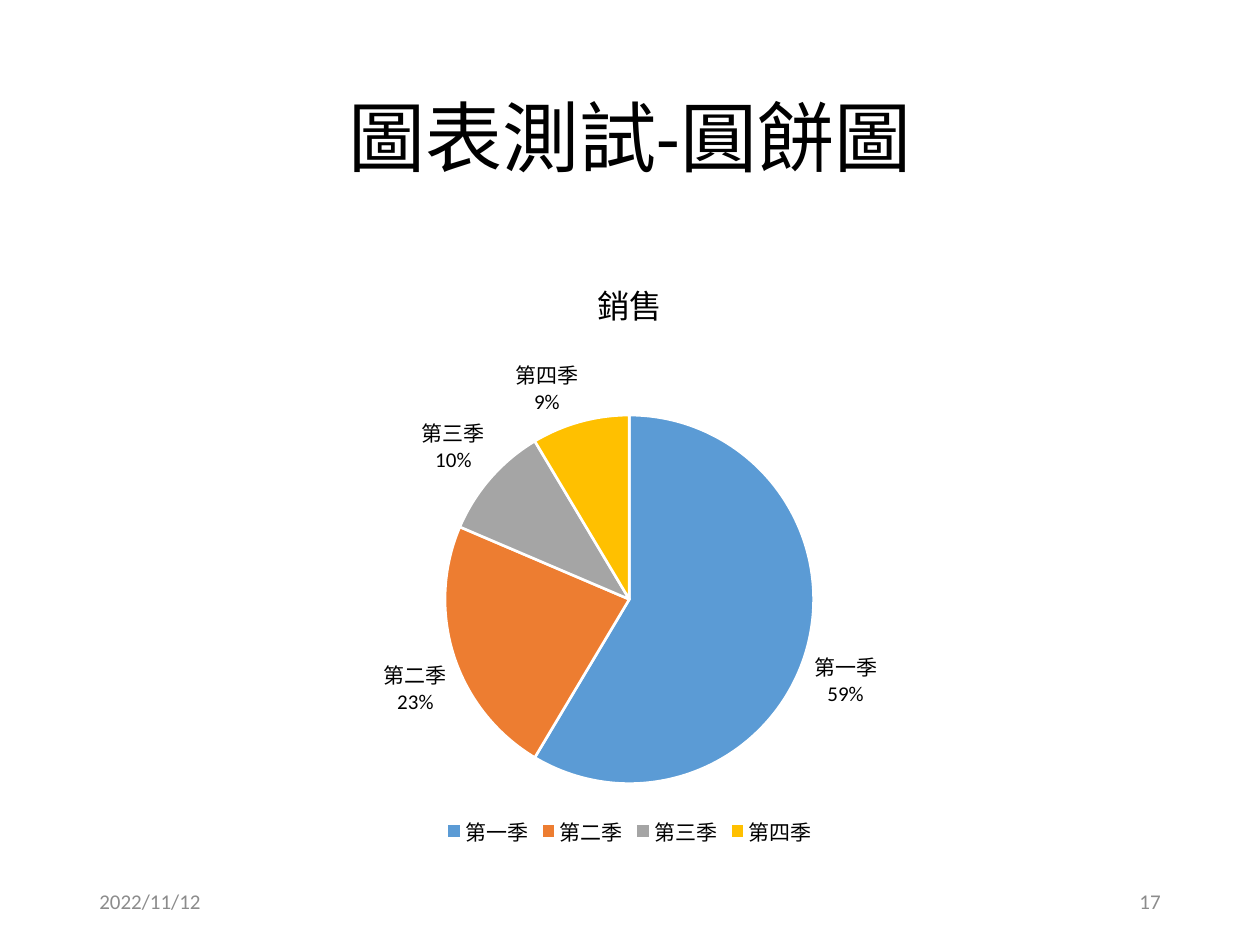
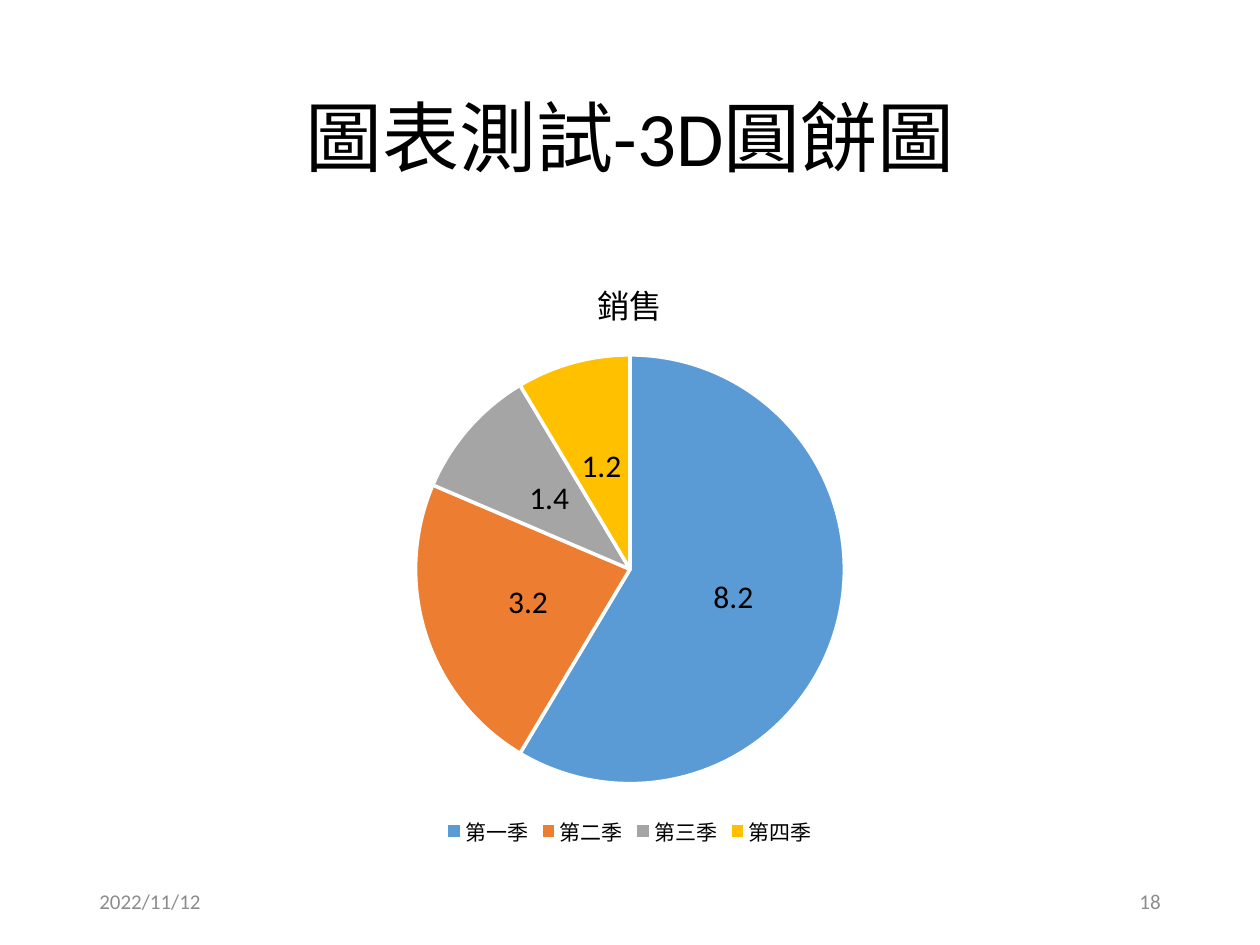
"""Build two quarterly sales pie chart slides."""
from pptx import Presentation
from pptx import util as u
from pptx.chart.data import CategoryChartData
from pptx.dml.color import RGBColor
from pptx.enum import chart as charts, text
from pptx.oxml import ns, parse_xml

BLACK = RGBColor(0x00, 0x00, 0x00)
WHITE = RGBColor(0xFF, 0xFF, 0xFF)
GRAY = RGBColor(0x8C, 0x8C, 0x8C)
SLICES = [RGBColor(0x5B, 0x9B, 0xD5), RGBColor(0xED, 0x7D, 0x31),
          RGBColor(0xA5, 0xA5, 0xA5), RGBColor(0xFF, 0xC0, 0x00)]
QUARTERS = ["第一季", "第二季", "第三季", "第四季"]
SALES = [8.2, 3.2, 1.4, 1.2]
LEFT, WIDTH, FOOTER_WIDTH = 0.69, 8.62, 2.25


class Pages:
    """Hold the shared style and the current slide."""

    def __init__(self):
        self.deck = Presentation()
        self.deck.slide_width = u.Inches(10)
        self.deck.slide_height = u.Inches(7.5)
        self.page = None

    def style(self, font, size, color=BLACK):
        font.name = "Calibri"
        font.size = u.Pt(size)
        font.bold = False
        font.color.rgb = color

    def add_words(self, frame, words, size, color, align):
        frame.word_wrap = True
        frame.vertical_anchor = text.MSO_ANCHOR.MIDDLE
        para = frame.paragraphs[0]
        para.alignment = align
        span = para.add_run()
        span.text = words
        self.style(span.font, size, color)
        return para

    def start(self, title, number):
        self.page = self.deck.slides.add_slide(self.deck.slide_layouts[5])
        box = self.page.shapes.title
        box.left, box.top = u.Inches(LEFT), u.Inches(0.4)
        box.width, box.height = u.Inches(WIDTH), u.Inches(1.45)
        para = self.add_words(box.text_frame, title, 44, BLACK, text.PP_ALIGN.CENTER)
        para.line_spacing = 0.9
        self.footer(LEFT, "2022/11/12", text.PP_ALIGN.LEFT)
        self.footer(LEFT + WIDTH - FOOTER_WIDTH, str(number), text.PP_ALIGN.RIGHT)

    def footer(self, left, words, align):
        box = self.page.shapes.add_textbox(
            u.Inches(left), u.Inches(6.95), u.Inches(FOOTER_WIDTH), u.Inches(0.4))
        self.add_words(box.text_frame, words, 12, GRAY, align)

    def pie(self, border, label_size, position, percent):
        data = CategoryChartData()
        data.categories = QUARTERS
        data.add_series("銷售", SALES)
        chart = self.page.shapes.add_chart(
            charts.XL_CHART_TYPE.PIE, u.Inches(LEFT), u.Inches(2),
            u.Inches(WIDTH), u.Inches(4.76), data).chart
        self.style(chart.font, 10)

        chart.has_title = True
        chart.chart_title.include_in_layout = False
        span = chart.chart_title.text_frame.paragraphs[0].add_run()
        span.text = "銷售"
        self.style(span.font, 18.6)

        chart.has_legend = True
        chart.legend.position = charts.XL_LEGEND_POSITION.BOTTOM
        chart.legend.include_in_layout = False
        self.style(chart.legend.font, 12)

        chart.plots[0].vary_by_categories = True
        series = chart.plots[0].series[0]
        for index, color in enumerate(SLICES):
            form = series.points[index].format
            form.fill.solid()
            form.fill.fore_color.rgb = color
            form.line.color.rgb = WHITE
            form.line.width = u.Pt(border)
        self.labels(series.data_labels, label_size, position, percent)

    def labels(self, labels, size, position, percent):
        self.style(labels.font, size)
        labels.position = position
        labels.show_value = not percent
        labels.show_percentage = percent
        labels.show_category_name = percent
        if percent:
            separator = parse_xml(f"<c:separator {ns.nsdecls('c')}>\n</c:separator>")
            labels._element.find(ns.qn("c:showBubbleSize")).addnext(separator)


pages = Pages()
pages.start("圖表測試-圓餅圖", 17)
pages.pie(1.5, 12, charts.XL_LABEL_POSITION.OUTSIDE_END, percent=True)
pages.start("圖表測試-3D圓餅圖", 18)
pages.pie(2, 18, charts.XL_LABEL_POSITION.CENTER, percent=False)
pages.deck.save("out.pptx")
